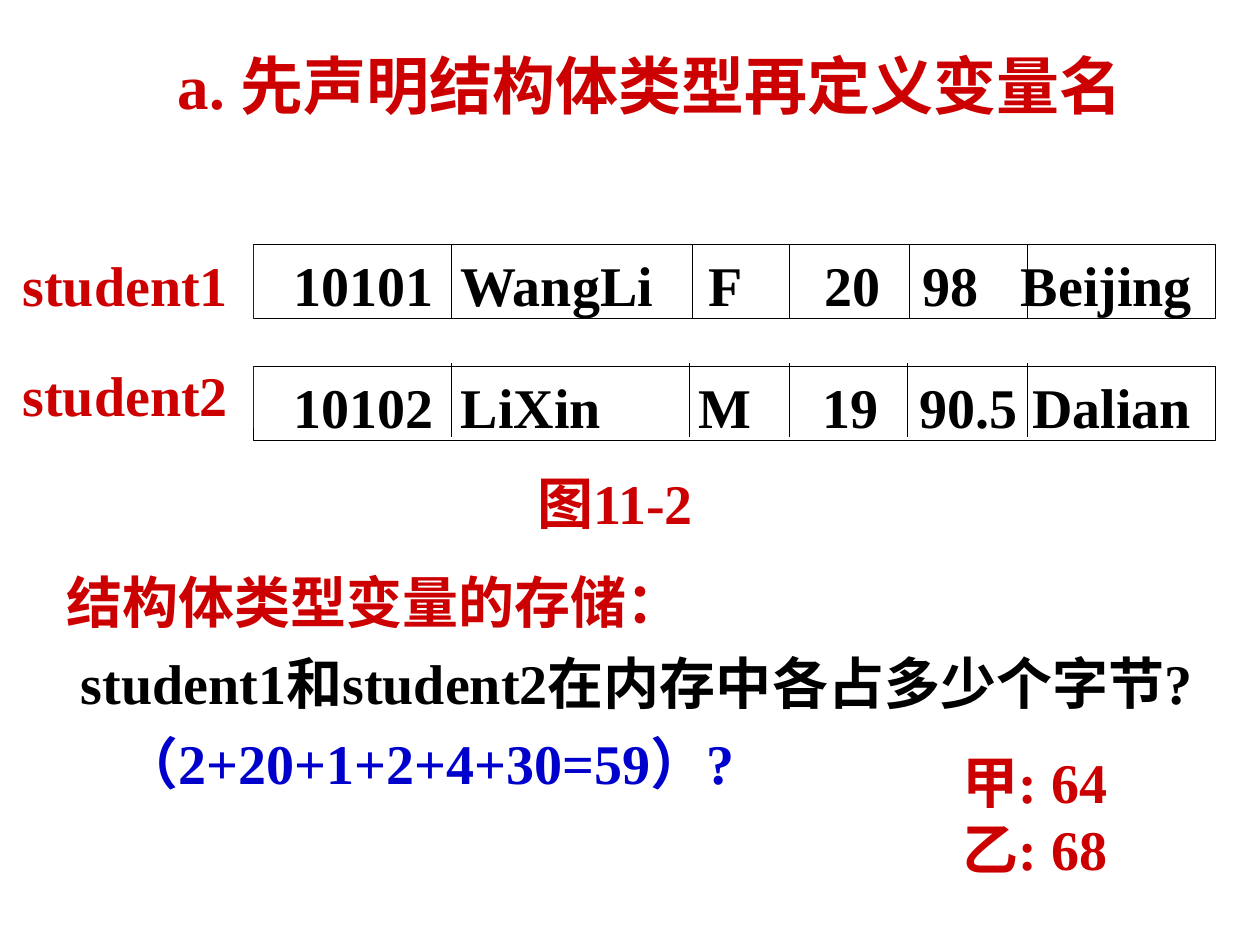
import pptx
import pptx.util
import pptx.dml.color
import pptx.enum.shapes
import pptx.enum.text
import pptx.oxml.ns
import lxml.etree

Pt = pptx.util.Pt
RED = pptx.dml.color.RGBColor(0xCC, 0, 0)
BLUE = pptx.dml.color.RGBColor(0, 0, 0xCC)
BLACK = pptx.dml.color.RGBColor(0, 0, 0)
WHITE = pptx.dml.color.RGBColor(255, 255, 255)
ALIGN = pptx.enum.text.PP_ALIGN
ANCHOR = pptx.enum.text.MSO_ANCHOR
RECT = pptx.enum.shapes.MSO_SHAPE.RECTANGLE
LINE = pptx.enum.shapes.MSO_CONNECTOR.STRAIGHT
qn = pptx.oxml.ns.qn


def style(para, text, color, size=32, align=ALIGN.LEFT, tabs=()):
    para.text = text
    para.alignment = align
    if tabs:
        stops = lxml.etree.SubElement(para._p.get_or_add_pPr(), qn("a:tabLst"))
        for stop in tabs:
            lxml.etree.SubElement(stops, qn("a:tab"), pos=str(Pt(stop)), algn="l")
    font = para.runs[0].font
    for key, val in {"name": "Times New Roman", "size": Pt(size), "bold": True}.items():
        setattr(font, key, val)
    font.color.rgb = color


def block(left, top, width, height, edge=None):
    box = slide.shapes.add_shape(RECT, Pt(left), Pt(top), Pt(width), Pt(height))
    box.shadow.inherit = False
    box.fill.solid()
    box.fill.fore_color.rgb = WHITE
    if edge is None:
        box.line.fill.background()
    else:
        box.line.color.rgb = edge
        box.line.width = Pt(0.75)
    box.text_frame.vertical_anchor = ANCHOR.TOP
    return box


deck = pptx.Presentation()
deck.slide_width, deck.slide_height = Pt(720), Pt(540)
slide = deck.slides.add_slide(deck.slide_layouts[5])

title = slide.shapes.title
for key, val in {"left": 88, "top": 20, "width": 567, "height": 56}.items():
    setattr(title, key, Pt(val))
title.text_frame.vertical_anchor = ANCHOR.MIDDLE
style(title.text_frame.paragraphs[0], "a. 先声明结构体类型再定义变量名", RED, 36, ALIGN.CENTER)

rows = [
    ("student1", 139.7, 139.7, 139.7, (258, 395.6, 451, 519.7, 587),
     "10101 WangLi F 20 98 Beijing", (95, 237, 303.5, 359.5, 415.5)),
    ("student2", 202.3, 209.5, 207.5, (258, 394, 451, 518.6, 587),
     "10102 LiXin M 19 90.5 Dalian", (95.5, 231.5, 302, 357.7, 422)),
]
for name, label_top, top, rule_top, rules, data, tabs in rows:
    row = block(144.7, top, 550, 42.2, BLACK)
    row.text_frame.margin_left = Pt(23.2)
    style(row.text_frame.paragraphs[0], data.replace(" ", "\t"), BLACK, tabs=tabs)
    for x in rules:
        rule = slide.shapes.add_connector(LINE, Pt(x), Pt(rule_top), Pt(x), Pt(rule_top + 42))
        rule.line.color.rgb = BLACK
        rule.line.width = Pt(0.75)
        lxml.etree.SubElement(rule._element.spPr, qn("a:effectLst"))
    label = block(5.8, label_top, 138.9, 42.5)
    style(label.text_frame.paragraphs[0], name, RED, align=ALIGN.JUSTIFY)

texts = [
    ((31, 321, 669, 164), True, ALIGN.LEFT, [
        ("结构体类型变量的存储：", RED, -66),
        ("student1和student2在内存中各占多少个字节?", BLACK, -58),
        ("（2+20+1+2+4+30=59）?", BLUE, -34)]),
    ((300, 264, 117, 45), True, ALIGN.LEFT, [("图11-2", RED, 0)]),
    ((535.7, 423.4, 111.6, 84), False, ALIGN.CENTER,
     [("甲: 64", RED, 0), ("乙: 68", RED, 0)]),
]
for place, wrap, align, lines in texts:
    frame = slide.shapes.add_textbox(*map(Pt, place)).text_frame
    frame.word_wrap = wrap
    for i, (text, color, hang) in enumerate(lines):
        para = frame.add_paragraph() if i else frame.paragraphs[0]
        style(para, text, color, align=align)
        if hang:
            props = para._p.get_or_add_pPr()
            props.set("marL", str(Pt(66)))
            props.set("indent", str(Pt(hang)))
            para.space_before = Pt(7.4 if i else 0)

deck.save("out.pptx")
